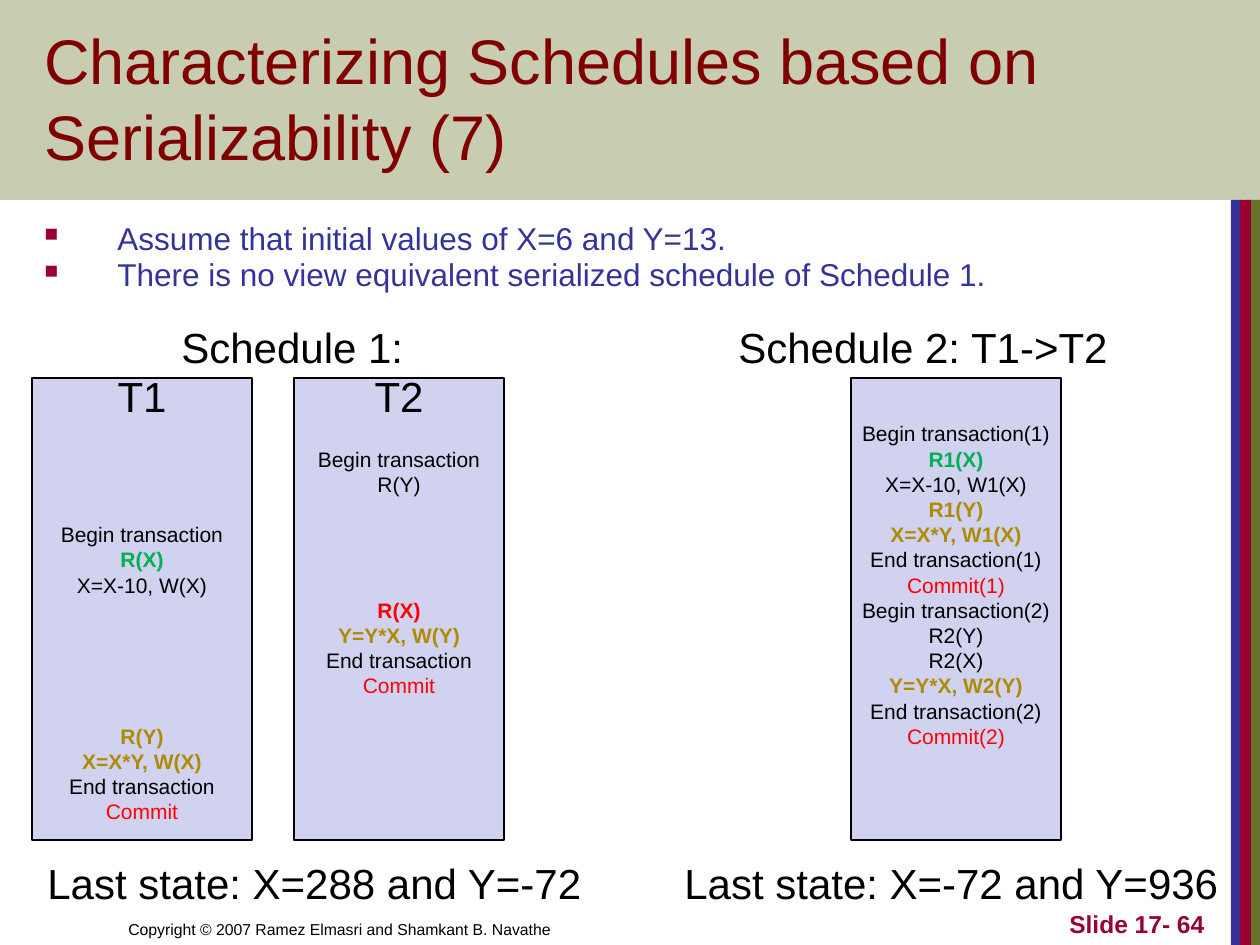
from lxml import etree
from pptx import Presentation
from pptx.dml.color import RGBColor
from pptx.enum.shapes import MSO_SHAPE
from pptx.enum.text import MSO_ANCHOR, PP_ALIGN
from pptx.oxml.ns import qn
from pptx.util import Pt

PX = 914400 // 126
FONT = "Arial"
RECTANGLE = MSO_SHAPE.RECTANGLE
TOP, BOTTOM = MSO_ANCHOR.TOP, MSO_ANCHOR.BOTTOM
LEFT, CENTER, RIGHT = PP_ALIGN.LEFT, PP_ALIGN.CENTER, PP_ALIGN.RIGHT

COLORS = {
    "olive": "677228", "blue": "333399", "crimson": "990033",
    "maroon": "800000", "lavender": "D1D1F0", "black": "000000",
    "green": "00B050", "red": "FF0000", "gold": "AD8C01",
}
BOLD_COLORS = ("green", "gold")
ROW_POINTS = 14.4
HEADING_POINTS = 24
BOX_TOP, BOX_HEIGHT = 378, 462
BOX_INSET = 1
HEADING_HEIGHT = 42

# Each operation is (empty rows before it, text, color, bold)
T1_ROWS = [
    (4, "Begin transaction", "black", False),
    (0, "R(X)", "green", True),
    (0, "X=X-10, W(X)", "black", False),
    (5, "R(Y)", "gold", True),
    (0, "X=X*Y, W(X)", "gold", True),
    (0, "End transaction", "black", False),
    (0, "Commit", "red", False),
]
T2_ROWS = [
    (1, "Begin transaction", "black", False),
    (0, "R(Y)", "black", False),
    (4, "R(X)", "red", True),
    (0, "Y=Y*X, W(Y)", "gold", True),
    (0, "End transaction", "black", False),
    (0, "Commit", "red", False),
]
SERIAL_ROWS = [(0, text, color, color in BOLD_COLORS) for text, color in [
    ("Begin transaction(1)", "black"),
    ("R1(X)", "green"),
    ("X=X-10, W1(X)", "black"),
    ("R1(Y)", "gold"),
    ("X=X*Y, W1(X)", "gold"),
    ("End transaction(1)", "black"),
    ("Commit(1)", "red"),
    ("Begin transaction(2)", "black"),
    ("R2(Y)", "black"),
    ("R2(X)", "black"),
    ("Y=Y*X, W2(Y)", "gold"),
    ("End transaction(2)", "black"),
    ("Commit(2)", "red"),
]]


def px(*lengths):
    return [length * PX for length in lengths]


def rgb(color):
    return RGBColor.from_string(COLORS[color])


def write(paragraph, text, size, color, bold=False, align=LEFT):
    paragraph.text = text
    paragraph.alignment = align
    font = paragraph.runs[0].font
    font.name, font.size, font.bold = FONT, Pt(size), bold
    font.color.rgb = rgb(color)


def add_rectangle(slide, left, top, width, height, fill):
    shape = slide.shapes.add_shape(RECTANGLE, *px(left, top, width, height))
    shape.shadow.inherit = False
    shape.fill.solid()
    shape.fill.fore_color.rgb = rgb(fill)
    shape.line.fill.background()
    return shape


def set_opacity(shape, percent):
    color = shape.fill._xPr.find(qn("a:solidFill"))[0]
    etree.SubElement(color, qn("a:alpha"), val=str(percent * 1000))


def add_text(slide, left, top, width, height, text, size, color="black",
             bold=False, align=LEFT, anchor=TOP, wrap=True):
    box = slide.shapes.add_textbox(*px(left, top, width, height))
    frame = box.text_frame
    frame.word_wrap = wrap
    frame.vertical_anchor = anchor
    write(frame.paragraphs[0], text, size, color, bold, align)


def add_bullets(slide, left, top, width, height, lines):
    frame = slide.shapes.add_textbox(*px(left, top, width, height)).text_frame
    frame.word_wrap = True
    frame.margin_right = 0
    for index, line in enumerate(lines):
        paragraph = frame.add_paragraph() if index else frame.paragraphs[0]
        paragraph.line_spacing = 0.8
        if index:
            paragraph.space_before = Pt(3.6)
        properties = paragraph._p.get_or_add_pPr()
        properties.set("marL", str(73 * PX))
        properties.set("indent", str(-73 * PX))
        bullet_color = etree.SubElement(properties, qn("a:buClr"))
        etree.SubElement(bullet_color, qn("a:srgbClr"), val=COLORS["crimson"])
        etree.SubElement(properties, qn("a:buSzPct"), val="60000")
        etree.SubElement(properties, qn("a:buChar"), char="■")
        write(paragraph, line, 18, "blue")


def add_schedule(slide, left, width, rows, heading=None):
    """Draw a box of operations; without a heading its place stays free."""
    box = add_rectangle(slide, left, BOX_TOP, width, BOX_HEIGHT, "lavender")
    box.line.color.rgb = rgb("black")
    box.line.width = Pt(0.75)
    frame = box.text_frame
    frame.word_wrap = True
    frame.vertical_anchor = TOP
    frame.margin_left = frame.margin_right = 0
    frame.margin_top = (BOX_INSET if heading else BOX_INSET + HEADING_HEIGHT) * PX
    paragraph = frame.paragraphs[0]
    if heading:
        write(paragraph, heading, HEADING_POINTS, "black", align=CENTER)
        paragraph.line_spacing = Pt(HEADING_POINTS)
    for index, (gap, text, color, bold) in enumerate(rows):
        if heading or index:
            paragraph = frame.add_paragraph()
        write(paragraph, text, 12, color, bold, CENTER)
        paragraph.line_spacing = Pt(ROW_POINTS)
        if gap:
            paragraph.space_before = Pt(gap * ROW_POINTS)


def main():
    presentation = Presentation()
    presentation.slide_width, presentation.slide_height = px(1260, 945)
    slide = presentation.slides.add_slide(presentation.slide_layouts[6])

    for left, width, color in [(1246, 14, "olive"), (1231, 11, "blue"),
                               (1240, 11, "crimson")]:
        add_rectangle(slide, left, 200, width, 745, color)
    set_opacity(add_rectangle(slide, 0, 0, 1260, 200, "olive"), 36)

    add_text(slide, 116, 882, 620, 63,
             "Copyright © 2007 Ramez Elmasri and Shamkant B. Navathe",
             9, anchor=BOTTOM)
    add_text(slide, 955, 882, 262, 63, "Slide 17- 64", 14, "crimson",
             bold=True, align=RIGHT, anchor=BOTTOM)
    add_text(slide, 32, 42, 1075, 137,
             "Characterizing Schedules based on Serializability (7)",
             36, "maroon", anchor=BOTTOM)
    add_bullets(slide, 32, 220, 1143, 73, [
        "Assume that initial values of X=6 and Y=13.",
        "There is no view equivalent serialized schedule of Schedule 1.",
    ])

    add_schedule(slide, 32, 220, T1_ROWS, "T1")
    add_schedule(slide, 294, 210, T2_ROWS, "T2")
    add_schedule(slide, 851, 210, SERIAL_ROWS)

    for left, top, width, text in [
        (169, 315, 249, "Schedule 1:"),
        (726, 315, 398, "Schedule 2: T1->T2"),
        (35, 851, 564, "Last state: X=288 and Y=-72"),
        (672, 851, 564, "Last state: X=-72 and Y=936"),
    ]:
        add_text(slide, left, top, width, 63, text, 24, wrap=False)

    presentation.save("out.pptx")


if __name__ == "__main__":
    main()
